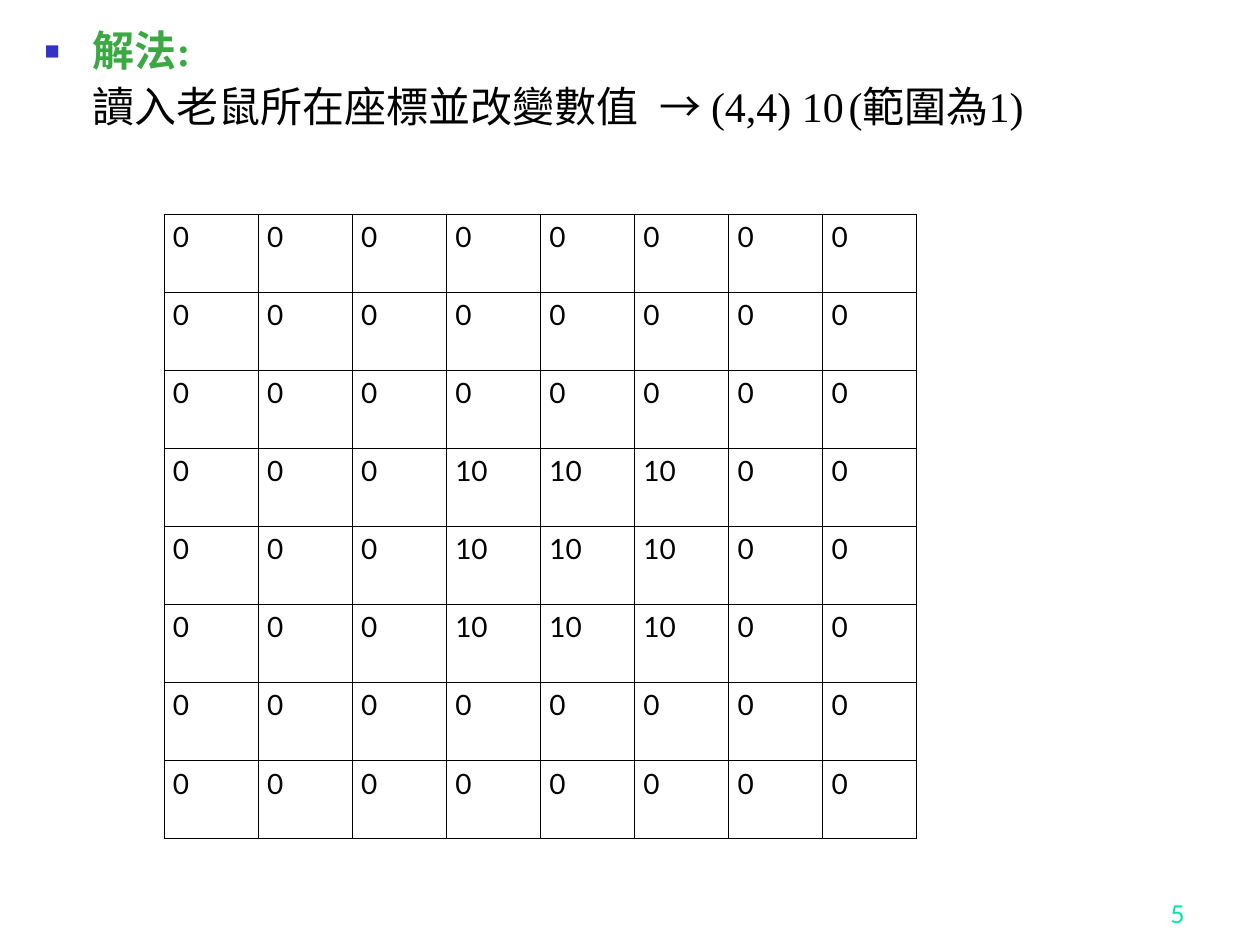
from pptx import Presentation, util as u
from pptx.dml.color import RGBColor
from pptx.enum import text as t
from pptx.oxml import parse_xml
from pptx.oxml.ns import nsdecls

PX = u.Inches(1) / 126
LEFT, RIGHT = t.PP_ALIGN.LEFT, t.PP_ALIGN.RIGHT


def px(*vals):
    """Turn lengths in px into EMU."""
    return [round(v * PX) for v in vals]


def rgb(code):
    return RGBColor.from_string(code)


def xml(tag, attrs="", inner=""):
    """Make one DrawingML element."""
    return parse_xml(f"<a:{tag} {nsdecls('a')} {attrs}>{inner}</a:{tag}>")


def write(para, words, font="Lato", size=16, color="000000", bold=False, align=LEFT):
    para.alignment = align
    run = para.add_run()
    run.text = words
    run.font.name, run.font.size = font, u.Pt(size)
    run.font.bold, run.font.color.rgb = bold, rgb(color)


class Deck:
    """Holds the style and the current slide."""
    serif, green, mint, blue = "Times New Roman", "3BA943", "00E4A8", "3333CC"
    black, white = "000000", "FFFFFF"
    indent, line = 48, 0.45

    def __init__(self):
        self.prs = Presentation()
        self.prs.slide_width, self.prs.slide_height = u.Inches(10), u.Inches(7.5)
        self.slide = self.prs.slides.add_slide(self.prs.slide_layouts[1])
        title = self.slide.shapes.title.element
        title.getparent().remove(title)

    def body(self, box, head, steps, stops):
        """Fill the body with a bulleted head and a plain line under it."""
        body = self.slide.placeholders[1]
        body.left, body.top, body.width, body.height = px(*box)
        frame = body.text_frame
        frame.auto_size = t.MSO_AUTO_SIZE.NONE
        first, second = frame.paragraphs[0], frame.add_paragraph()
        marl, = px(self.indent)
        for para, hang, gap in ((first, -marl, 0), (second, 0, 6)):
            para.line_spacing, para.space_before = 0.9, u.Pt(gap)
            props = para._p.get_or_add_pPr()
            props.set("marL", str(marl))
            props.set("indent", str(hang))
        first._p.pPr.extend([
            xml("buClr", inner=f'<a:srgbClr val="{self.blue}"/>'),
            xml("buSzPct", 'val="60000"'),
            xml("buChar", 'char="■"')])
        tabs = "".join(f'<a:tab pos="{pos}" algn="l"/>' for pos in px(*stops))
        second._p.pPr.extend([xml("buNone"), xml("tabLst", inner=tabs)])
        write(first, head, font=self.serif, size=24, color=self.green, bold=True)
        write(second, "\t".join(steps), font=self.serif, size=24)

    def number(self, box, words):
        frame = self.slide.shapes.add_textbox(*px(*box)).text_frame
        frame.word_wrap = True
        frame.vertical_anchor = t.MSO_ANCHOR.BOTTOM
        write(frame.paragraphs[0], words, size=14, color=self.mint, align=RIGHT)

    def grid(self, box, rows):
        """Draw a ruled table of equal cells."""
        table = self.slide.shapes.add_table(len(rows), len(rows[0]), *px(*box)).table
        table.first_row = table.horz_banding = False
        for row, vals in enumerate(rows):
            for col, val in enumerate(vals):
                self.cell(table.cell(row, col), str(val))

    def cell(self, cell, words):
        cell.margin_left, cell.margin_right = px(9, 9)
        cell.margin_top, cell.margin_bottom = px(6, 6)
        props = cell._tc.get_or_add_tcPr()
        for side in "LRTB":
            props.append(xml(
                f"ln{side}", f'w="{u.Pt(self.line)}"',
                f'<a:solidFill><a:srgbClr val="{self.black}"/></a:solidFill>'))
        cell.fill.solid()
        cell.fill.fore_color.rgb = rgb(self.white)
        write(cell.text_frame.paragraphs[0], words)


def field(size, mouse, reach, count):
    """Grid of zeros with count in every cell within reach of the mouse."""
    near = range(mouse - reach, mouse + reach + 1)
    return [[count if row in near and col in near else 0 for col in range(size)]
            for row in range(size)]


def main():
    deck = Deck()
    deck.body((32, 24, 1196, 878), "解法:",
              ["讀入老鼠所在座標並改變數值", "→ (4,4) 10", "(範圍為1)"], (612, 838))
    deck.number((935, 872, 262, 63), "5")
    deck.grid((164, 214, 753, 625), field(8, mouse=4, reach=1, count=10))
    deck.prs.save("out.pptx")


if __name__ == "__main__":
    main()
